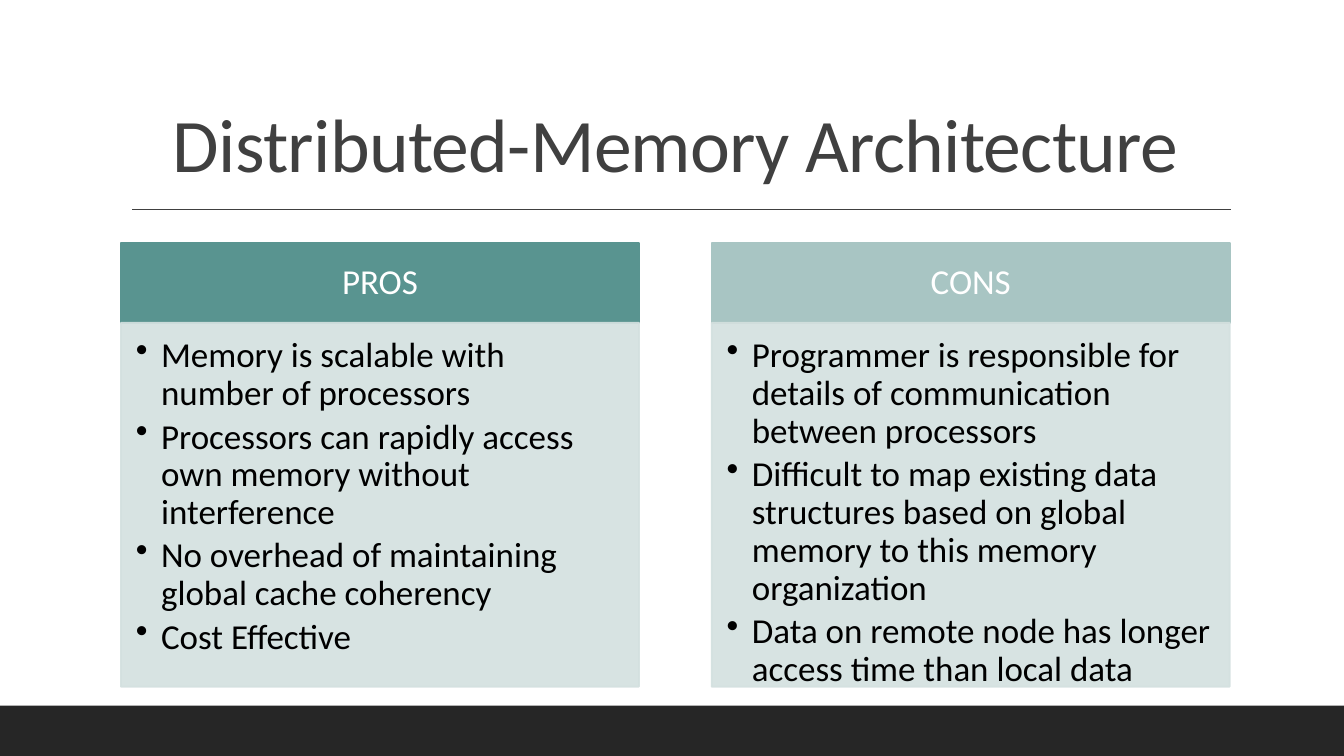
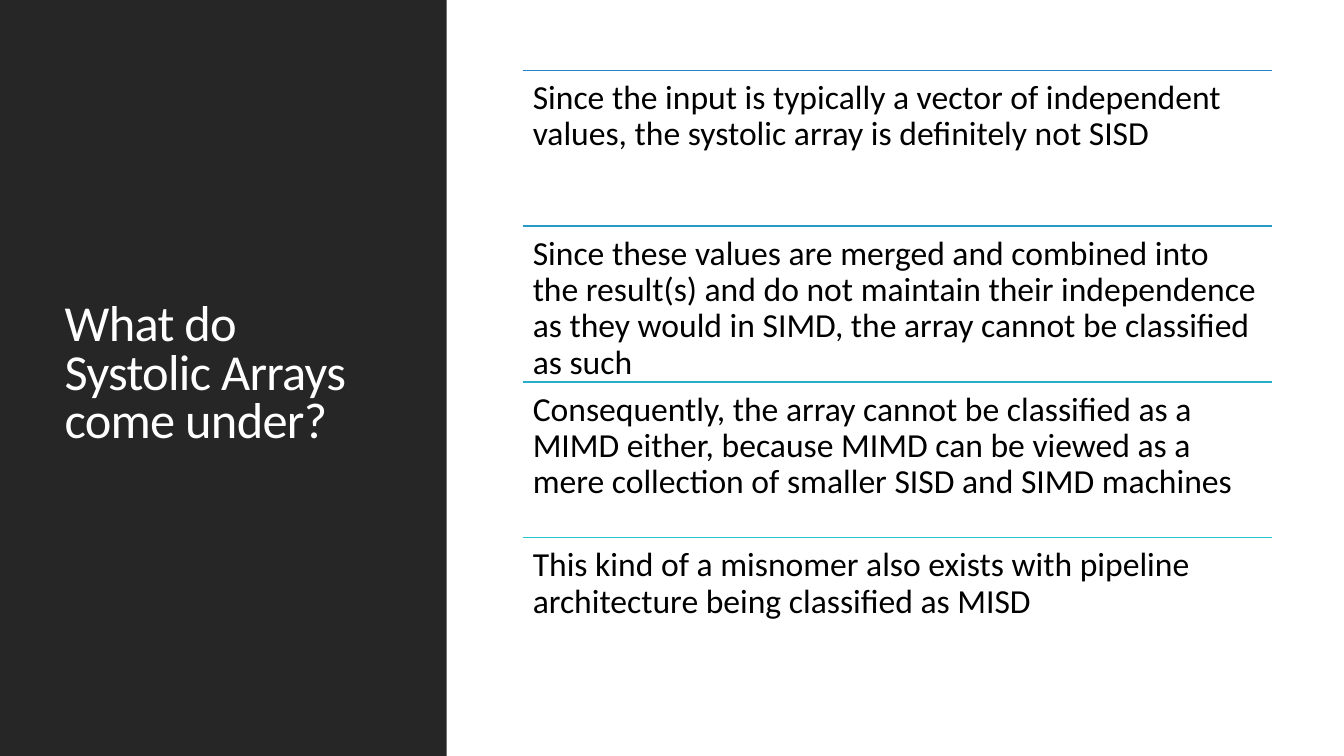
from dataclasses import dataclass

import pptx
import pptx.dml.color
import pptx.enum.shapes
import pptx.enum.text
import pptx.oxml
import pptx.oxml.ns
import pptx.util

Pt = pptx.util.Pt
RGB = pptx.dml.color.RGBColor.from_string
Align = pptx.enum.text.PP_ALIGN
Anchor = pptx.enum.text.MSO_ANCHOR
qn = pptx.oxml.ns.qn


@dataclass(frozen=True)
class Theme:
    font: str = "Calibri"
    dark: str = "262626"
    gray: str = "404040"
    white: str = "FFFFFF"
    black: str = "000000"
    pale: str = "D3E0DF"
    title: float = 54
    side_title: float = 36
    column: float = 25
    row: float = 24


@dataclass(frozen=True)
class Box:
    x: float
    y: float
    w: float
    h: float


@dataclass(frozen=True)
class Column:
    heading: str
    color: str
    points: list[str]


@dataclass(frozen=True)
class Row:
    color: str
    text: str


THEME = Theme()
WIDTH, HEIGHT = 960, 540

COLUMNS = [
    Column("PROS", "599490", [
        "Memory is scalable with number of processors",
        "Processors can rapidly access own memory without interference",
        "No overhead of maintaining global cache coherency",
        "Cost Effective",
    ]),
    Column("CONS", "A8C5C3", [
        "Programmer is responsible for details of communication between processors",
        "Difficult to map existing data structures based on global memory to this memory organization",
        "Data on remote node has longer access time than local data",
    ]),
]

ROWS = [
    Row("2683C6", "Since the input is typically a vector of independent values, "
        "the systolic array is definitely not SISD"),
    Row("2798C8", "Since these values are merged and combined into the result(s) and do not maintain "
        "their independence as they would in SIMD, the array cannot be classified as such"),
    Row("27AECA", "Consequently, the array cannot be classified as a MIMD either, because MIMD can be "
        "viewed as a mere collection of smaller SISD and SIMD machines"),
    Row("28C4CC", "This kind of a misnomer also exists with pipeline architecture being classified as MISD"),
]


def write(sp, *texts: str, size: float, color: str, align=Align.LEFT, anchor=Anchor.TOP,
          insets=(7.2, 3.6, 7.2, 3.6), spacing: float = 0.9, after: float = 0,
          bullet: bool = False, tracking: int = 0) -> None:
    tf = sp.text_frame
    tf.word_wrap = True
    tf.auto_size = pptx.enum.text.MSO_AUTO_SIZE.NONE
    tf.vertical_anchor = anchor
    tf.margin_left, tf.margin_top, tf.margin_right, tf.margin_bottom = map(Pt, insets)
    for i, text in enumerate(texts):
        p = tf.add_paragraph() if i else tf.paragraphs[0]
        if bullet:
            pPr = p._p.get_or_add_pPr()
            pPr.set("marL", str(Pt(18)))
            pPr.set("indent", str(Pt(-18)))
            pPr.append(pptx.oxml.parse_xml(
                f'<a:buChar {pptx.oxml.ns.nsdecls("a")} char="•"/>'))
        p.alignment = align
        p.line_spacing = spacing
        p.space_before = Pt(0)
        p.space_after = Pt(after)
        r = p.add_run()
        r.text = text
        r.font.name = THEME.font
        r.font.size = Pt(size)
        r.font.color.rgb = RGB(color)
        if tracking:
            r._r.get_or_add_rPr().set("spc", str(tracking))


def add_rect(s, box: Box, color: str, line: float = 0, alpha: int = 100):
    sp = s.shapes.add_shape(pptx.enum.shapes.MSO_SHAPE.RECTANGLE,
                            Pt(box.x), Pt(box.y), Pt(box.w), Pt(box.h))
    sp.shadow.inherit = False
    sp.fill.solid()
    sp.fill.fore_color.rgb = RGB(color)
    if line:
        sp.line.color.rgb = RGB(color)
        sp.line.width = Pt(line)
    else:
        sp.line.fill.background()
    if alpha < 100:
        for clr in sp._element.spPr.iter(qn("a:srgbClr")):
            clr.append(pptx.oxml.parse_xml(
                f'<a:alpha {pptx.oxml.ns.nsdecls("a")} val="{alpha * 1000}"/>'))
    return sp


def add_rule(s, x: float, y: float, w: float, color: str, weight: float) -> None:
    ln = s.shapes.add_connector(pptx.enum.shapes.MSO_CONNECTOR.STRAIGHT,
                                Pt(x), Pt(y), Pt(x + w), Pt(y))
    ln.line.color.rgb = RGB(color)
    ln.line.width = Pt(weight)
    ln._element.spPr.append(pptx.oxml.parse_xml(
        f'<a:effectLst {pptx.oxml.ns.nsdecls("a")}/>'))


def add_slide(prs, band: Box, title: str, box: Box, **fmt):
    s = prs.slides.add_slide(prs.slide_layouts[5])
    sp = s.shapes.title
    sp.left, sp.top, sp.width, sp.height = map(Pt, (box.x, box.y, box.w, box.h))
    write(sp, title, spacing=0.8, tracking=-50, **fmt)
    panel = add_rect(s, band, THEME.dark)
    sp._element.addprevious(panel._element)
    return s


def add_column(s, column: Column, x: float) -> None:
    top, width, head_h, body_h = 173.5, 370, 57, 260
    head = add_rect(s, Box(x, top, width, head_h), column.color, line=1.25)
    write(head, column.heading, size=THEME.column, color=THEME.white, align=Align.CENTER,
          anchor=Anchor.MIDDLE, insets=(14, 8, 14, 8))
    body = add_rect(s, Box(x, top + head_h, width, body_h), THEME.pale, line=1.25, alpha=90)
    write(body, *column.points, size=THEME.column, color=THEME.black,
          insets=(10.7, 10.7, 14, 16), after=4, bullet=True)


def add_row(s, row: Row, box: Box) -> None:
    add_rule(s, box.x, box.y, box.w, row.color, 1.25)
    sp = s.shapes.add_textbox(Pt(box.x), Pt(box.y), Pt(box.w), Pt(box.h))
    write(sp, row.text, size=THEME.row, color=THEME.black, insets=(7.2,) * 4)


def build_comparison(prs) -> None:
    s = add_slide(prs, Box(0, 504, WIDTH, 36), "Distributed-Memory Architecture",
                  Box(86.4, 22.5, 792, 114.5), size=THEME.title, color=THEME.gray,
                  align=Align.CENTER, anchor=Anchor.BOTTOM)
    add_rule(s, 94.5, 149.5, 784.5, THEME.gray, 1)
    for i, column in enumerate(COLUMNS):
        add_column(s, column, 86.4 + i * 422)


def build_classification(prs) -> None:
    s = add_slide(prs, Box(0, 0, 319, HEIGHT), "What do Systolic Arrays come under?",
                  Box(39, 41, 242.5, 454.5), size=THEME.side_title, color=THEME.white,
                  anchor=Anchor.MIDDLE)
    pitch = 111.2
    for i, row in enumerate(ROWS):
        add_row(s, row, Box(373.5, 50.4 + i * pitch, 535, pitch))


def main() -> None:
    prs = pptx.Presentation()
    prs.slide_width, prs.slide_height = Pt(WIDTH), Pt(HEIGHT)
    build_comparison(prs)
    build_classification(prs)
    prs.save("out.pptx")


if __name__ == "__main__":
    main()
